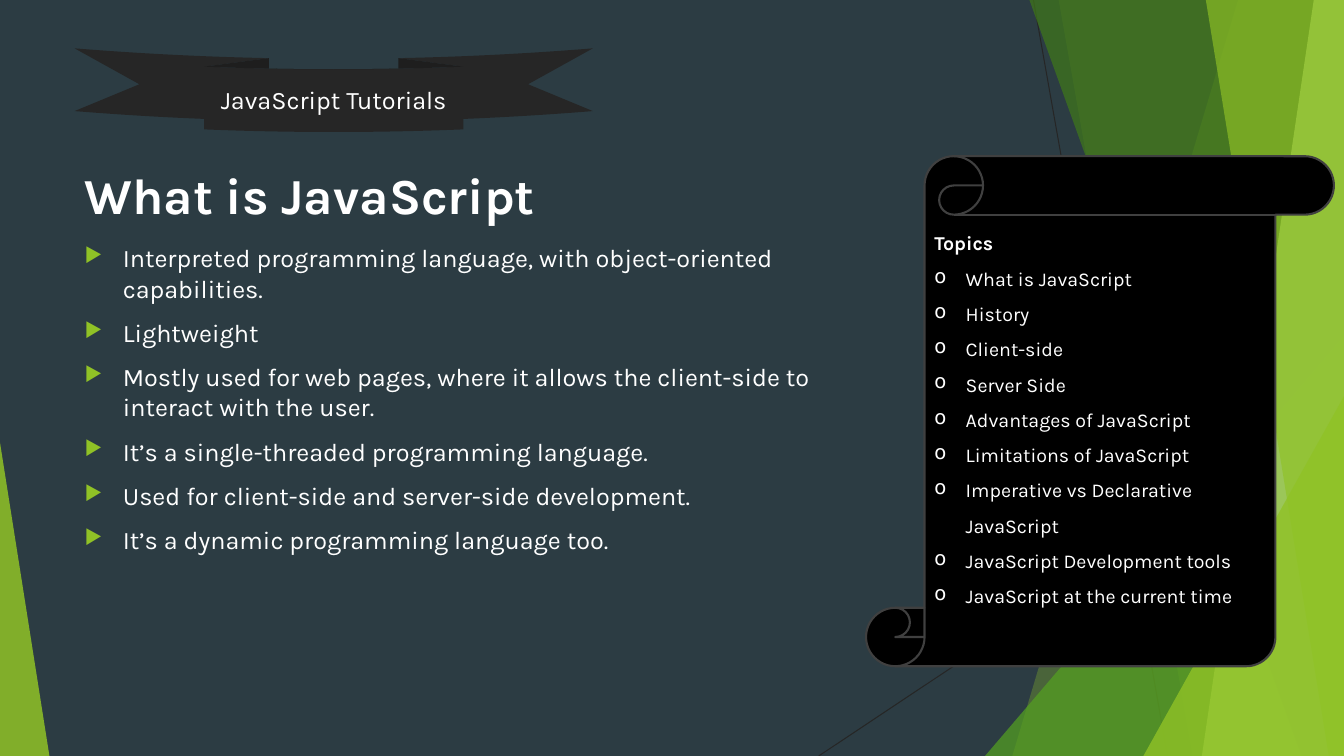
from lxml import etree
from pptx import Presentation
from pptx.dml import color
from pptx.enum import shapes, text
from pptx.oxml import ns
from pptx.util import Inches, Pt

WIDTH, HEIGHT = 13.33, 7.5
GREEN = "90C226"
WHITE = "FFFFFF"
DARK = "262626"

FACTS = [
    "Interpreted programming language, with object-oriented capabilities.",
    "Lightweight",
    "Mostly used for web pages, where it allows the client-side to interact with the user.",
    "It’s a single-threaded programming language.",
    "Used for client-side and server-side development.",
    "It’s a dynamic programming language too.",
]
TOPICS = [
    "What is JavaScript",
    "History",
    "Client-side",
    "Server Side",
    "Advantages of JavaScript",
    "Limitations of JavaScript",
    "Imperative vs Declarative JavaScript",
    "JavaScript Development tools",
    "JavaScript at the current time",
]


def rgb(value):
    return color.RGBColor.from_string(value)


def add_element(parent, tag, **attributes):
    return etree.SubElement(parent, ns.qn(tag), attributes)


def paint(shape, fill, opacity=100, outline=None):
    shape.shadow.inherit = False
    shape.fill.solid()
    shape.fill.fore_color.rgb = rgb(fill)
    if opacity < 100:
        tint = shape.fill._xPr.find(".//" + ns.qn("a:srgbClr"))
        add_element(tint, "a:alpha", val=str(opacity * 1000))
    if outline:
        shape.line.color.rgb = rgb(outline)
        shape.line.width = Pt(1.5)
    else:
        shape.line.fill.background()


def add_thin_line(page, start, end):
    line = page.shapes.add_connector(
        shapes.MSO_CONNECTOR.STRAIGHT, *map(Inches, start + end))
    line.line.color.rgb = rgb(DARK)
    line.line.width = Pt(0.75)
    add_element(line._element.spPr, "a:effectLst")


def add_band(page, top, bottom, fill, opacity):
    builder = page.shapes.build_freeform(Inches(top), 0)
    corners = [(WIDTH, 0), (WIDTH, HEIGHT), (bottom, HEIGHT)]
    builder.add_line_segments([(Inches(x), Inches(y)) for x, y in corners])
    paint(builder.convert_to_shape(), fill, opacity)


def add_preset(page, kind, left, top, width, height):
    return page.shapes.add_shape(kind, *map(Inches, (left, top, width, height)))


def add_triangle(page, left, top, width, apex, fill, opacity):
    triangle = add_preset(page, shapes.MSO_SHAPE.ISOSCELES_TRIANGLE,
                          left, top, width, HEIGHT - top)
    triangle.adjustments[0] = apex
    paint(triangle, fill, opacity)


def add_text_box(page, left, top, width, height, anchor):
    box = page.shapes.add_textbox(*map(Inches, (left, top, width, height)))
    box.text_frame.word_wrap = True
    box.text_frame.vertical_anchor = anchor
    return box


def write(box, words, size, bold=False, align=text.PP_ALIGN.LEFT,
          bullet=None, indent=0, before=0, spacing=1, bullet_color=None):
    frame = box.text_frame
    first = not frame.paragraphs[0].runs
    para = frame.paragraphs[0] if first else frame.add_paragraph()
    if bullet:
        properties = para._p.get_or_add_pPr()
        properties.set("marL", str(Inches(indent)))
        properties.set("indent", str(-Inches(indent)))
        if bullet_color:
            holder = add_element(properties, "a:buClr")
            add_element(holder, "a:srgbClr", val=bullet_color)
            add_element(properties, "a:buSzPct", val="80000")
        add_element(properties, "a:buChar", char=bullet)
    para.alignment = align
    para.line_spacing = spacing
    if before and not first:
        para.space_before = Pt(before)
    span = para.add_run()
    span.text = words
    span.font.name = "Karla"
    span.font.size = Pt(size)
    span.font.bold = bold
    span.font.color.rgb = rgb(WHITE)


def add_backdrop(page):
    page.background.fill.solid()
    page.background.fill.fore_color.rgb = rgb("2C3C43")
    add_thin_line(page, (10.25, 0), (11.58, HEIGHT))
    add_thin_line(page, (WIDTH, 4.03), (8.12, HEIGHT))
    add_band(page, 12.28, 10.04, GREEN, 30)
    add_band(page, 10.5, 11.83, GREEN, 20)
    add_triangle(page, 9.77, 3.33, 3.56, 1, "54A021", 72)
    add_band(page, 10.21, 12.91, "3F7819", 70)
    add_band(page, 13.03, 11.92, "C0E474", 70)
    add_band(page, 11.96, 13.18, GREEN, 65)
    add_triangle(page, 11.34, 3.93, 1.99, 1, GREEN, 80)
    add_triangle(page, 0, 4.39, 0.49, 0, GREEN, 85)


def add_ribbon(page):
    ribbon = add_preset(page, shapes.MSO_SHAPE.CURVED_DOWN_RIBBON, 0.74, 0.48, 5.14, 0.83)
    paint(ribbon, DARK)
    ribbon.text_frame.vertical_anchor = text.MSO_ANCHOR.MIDDLE
    write(ribbon, "JavaScript Tutorials", 18, align=text.PP_ALIGN.CENTER)


def add_topics(page):
    scroll = add_preset(page, shapes.MSO_SHAPE.VERTICAL_SCROLL, 8.59, 1.55, 4.64, 5.06)
    paint(scroll, "000000", outline="404040")
    scroll.text_frame.word_wrap = True
    scroll.text_frame.vertical_anchor = text.MSO_ANCHOR.TOP
    write(scroll, "Topics", 14, bold=True, spacing=1.5)
    for topic in TOPICS:
        write(scroll, topic, 14, bullet="o", indent=0.31, spacing=1.5)


def main():
    deck = Presentation()
    deck.slide_width, deck.slide_height = Inches(WIDTH), Inches(HEIGHT)
    page = deck.slides.add_slide(deck.slide_layouts[6])
    add_backdrop(page)
    title = add_text_box(page, 0.74, 1.55, 8.2, 0.73, text.MSO_ANCHOR.BOTTOM)
    write(title, "What is JavaScript", 36, bold=True)
    body = add_text_box(page, 0.74, 2.36, 8.2, 4.24, text.MSO_ANCHOR.TOP)
    for fact in FACTS:
        write(body, fact, 18, bullet="▶", indent=0.38, before=10, bullet_color=GREEN)
    add_ribbon(page)
    add_topics(page)
    deck.save("out.pptx")


if __name__ == "__main__":
    main()
